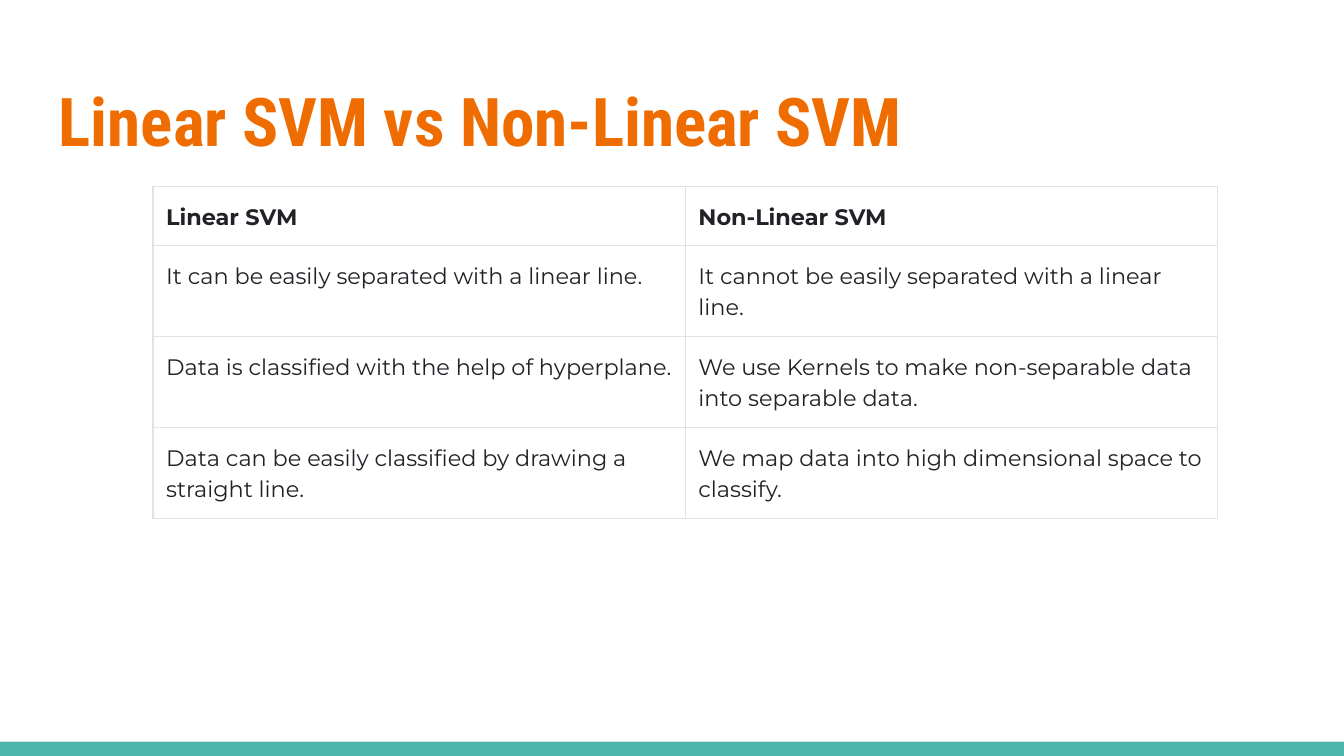
from dataclasses import dataclass

from lxml import etree
from pptx import Presentation
from pptx import util as u
from pptx.dml.color import RGBColor
from pptx.enum import shapes, text
from pptx.oxml import ns


@dataclass(frozen=True)
class Theme:
    head: str = "EF6C00"
    ink: str = "212127"
    rule: str = "E2E2E2"
    bar: str = "4DB6AC"
    head_font: str = "Roboto Condensed"
    body_font: str = "Montserrat"
    head_size: float = 36
    body_size: float = 12
    rule_size: float = 0.75
    inset: float = 0.25


class Deck:
    def __init__(self, theme, wide, high):
        self.theme = theme
        self.file = Presentation()
        self.file.slide_width = u.Cm(wide)
        self.file.slide_height = u.Cm(high)
        self.slide = self.file.slides.add_slide(self.file.slide_layouts[5])

    def style(self, para, font, size, color, bold):
        para.alignment = text.PP_ALIGN.LEFT
        for run in para.runs:
            run.font.name = font
            run.font.size = u.Pt(size)
            run.font.bold = bold
            run.font.color.rgb = RGBColor.from_string(color)

    def pad(self, item):
        gap = u.Cm(self.theme.inset)
        item.margin_left = item.margin_right = gap
        item.margin_top = item.margin_bottom = gap

    def title(self, words, left, top, wide, high):
        box = self.slide.shapes.title
        box.left, box.top = u.Cm(left), u.Cm(top)
        box.width, box.height = u.Cm(wide), u.Cm(high)
        frame = box.text_frame
        frame.text = words
        frame.word_wrap = True
        frame.auto_size = text.MSO_AUTO_SIZE.NONE
        frame.vertical_anchor = text.MSO_ANCHOR.TOP
        self.pad(frame)
        look = self.theme
        self.style(frame.paragraphs[0], look.head_font, look.head_size, look.head, True)

    def bar(self, left, top, wide, high):
        band = self.slide.shapes.add_shape(
            shapes.MSO_SHAPE.RECTANGLE, u.Cm(left), u.Cm(top), u.Cm(wide), u.Cm(high))
        band.shadow.inherit = False
        band.fill.solid()
        band.fill.fore_color.rgb = RGBColor.from_string(self.theme.bar)
        band.line.fill.background()

    def edge(self, cell):
        props = cell._tc.get_or_add_tcPr()
        for spot, side in enumerate(("lnL", "lnR", "lnT", "lnB")):
            line = etree.Element(ns.qn(f"a:{side}"), w=str(u.Pt(self.theme.rule_size)))
            fill = etree.SubElement(line, ns.qn("a:solidFill"))
            etree.SubElement(fill, ns.qn("a:srgbClr"), val=self.theme.rule)
            props.insert(spot, line)

    def cell(self, cell, words, bold):
        cell.text_frame.text = words
        cell.fill.background()
        self.pad(cell)
        self.edge(cell)
        para = cell.text_frame.paragraphs[0]
        para.line_spacing = 1.15
        para.space_after = u.Pt(19)
        look = self.theme
        self.style(para, look.body_font, look.body_size, look.ink, bold)

    def table(self, rows, left, top, wide, highs):
        grid = self.slide.shapes.add_table(
            len(rows), len(rows[0]), u.Cm(left), u.Cm(top),
            u.Cm(wide), u.Cm(sum(highs))).table
        grid.first_row = grid.horz_banding = False
        for r, (row, high) in enumerate(zip(rows, highs)):
            grid.rows[r].height = u.Cm(high)
            for c, words in enumerate(row):
                self.cell(grid.cell(r, c), words, r == 0)


def main():
    wide, high, band = 25.4, 14.29, 0.27
    rows = [
        ("Linear SVM", "Non-Linear SVM"),
        ("It can be easily separated with a linear line.",
         "It cannot be easily separated with a linear line."),
        ("Data is classified with the help of hyperplane.",
         "We use Kernels to make non-separable data into separable data."),
        ("Data can be easily classified by drawing a straight line.",
         "We map data into high dimensional space to classify."),
    ]
    deck = Deck(Theme(), wide, high)
    deck.bar(0, high - band, wide, band)
    deck.title("Linear SVM vs Non-Linear SVM", 0.86, 1.24, 23.67, 1.96)
    deck.table(rows, 2.89, 3.52, 20.12, [1.12] + [1.72] * 3)
    deck.file.save("out.pptx")


if __name__ == "__main__":
    main()
